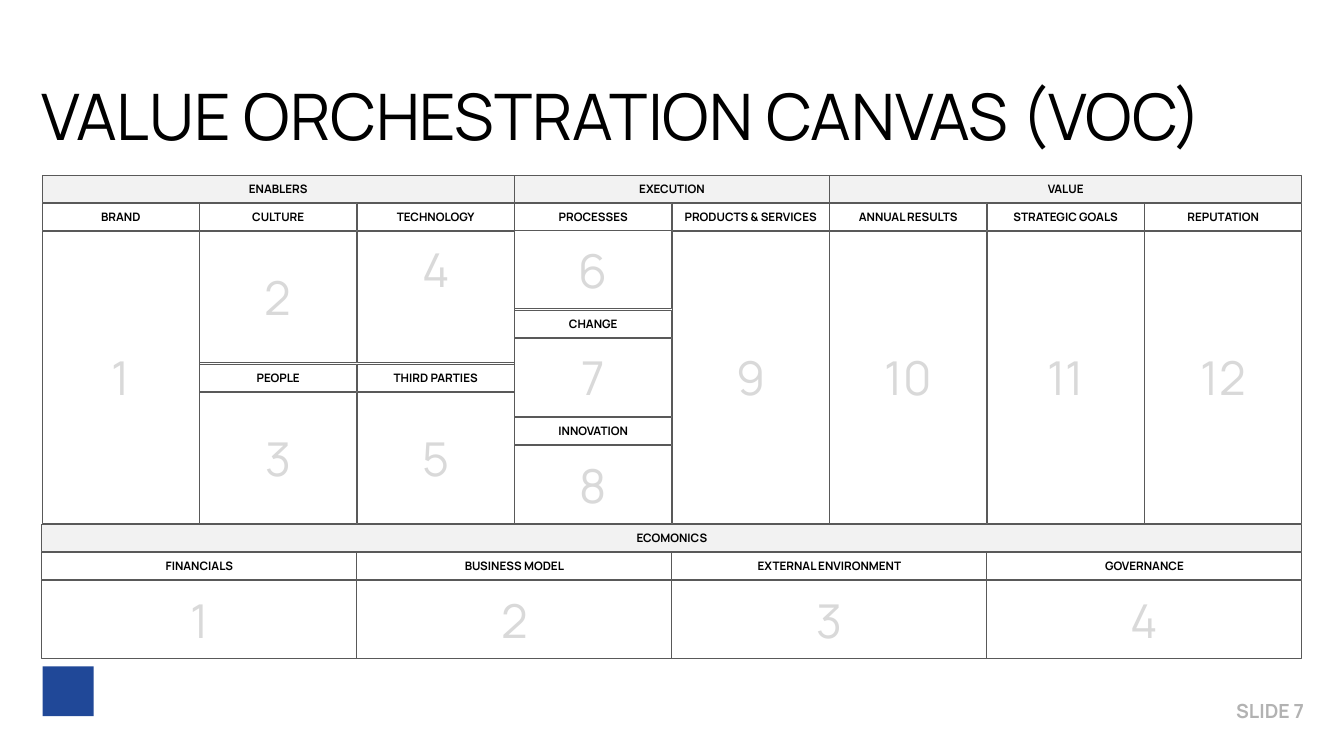
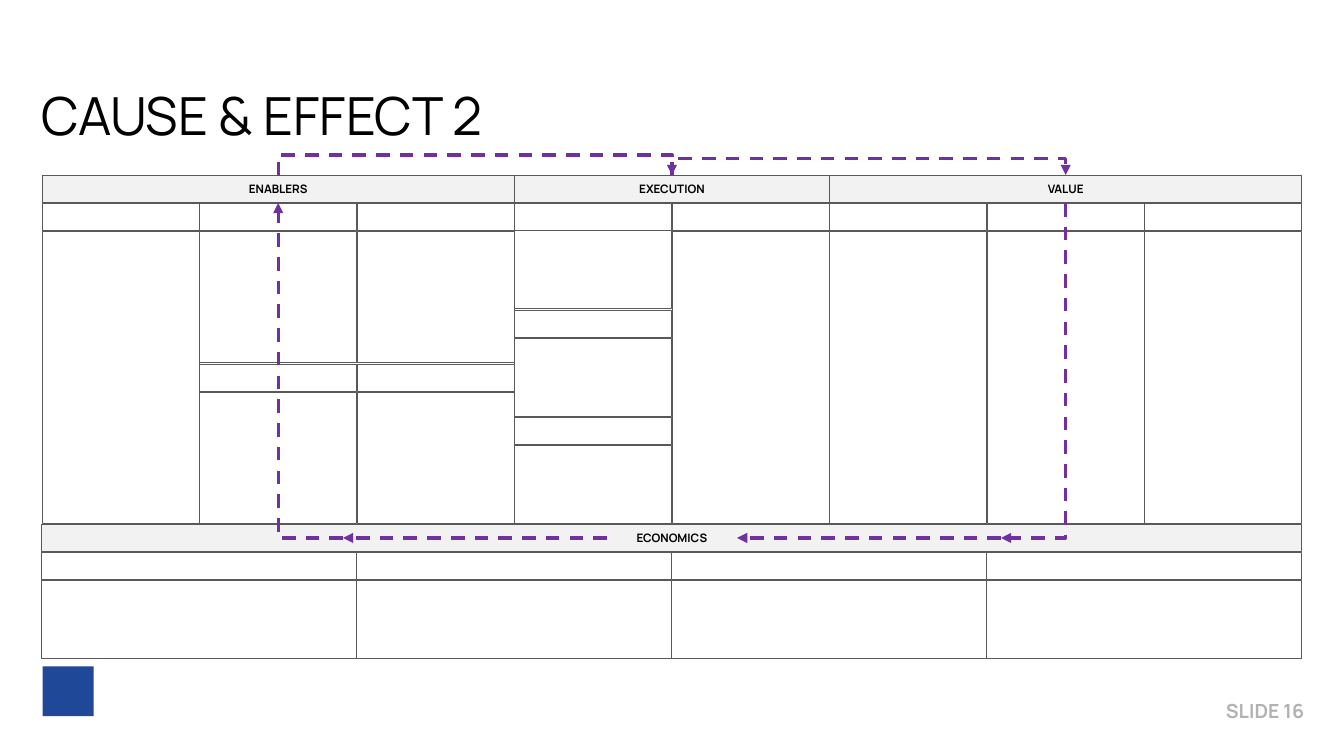
from pptx import Presentation, util as u
from pptx.dml.color import RGBColor
from pptx.enum import dml, shapes, text
from pptx.oxml import ns, xmlchemy

FONT = "Manrope"
BLACK, WHITE, BAND = "000000", "FFFFFF", "F2F2F2"
BORDER, NUMBER, PURPLE, BLUE = "595959", "D9D9D9", "7030A0", "204898"

LEFT, COLUMN, LABEL = 0.6, 2.25, 0.39
BAND_TOP, HEADER_TOP, BODY_TOP = 2.5, 2.9, 3.3
BODY, LABEL_SLOT = 4.18, 0.42
BASE_TOP, ROW_STEP, BASE_BODY = 7.49, 0.4, 1.12
CENTRE = text.PP_ALIGN.CENTER

LABEL_FORMAT = {"size": u.Pt(12), "bold": True}
NUMBER_FORMAT = {"size": u.Pt(48), "bold": False}

BANDS = [("ENABLERS", 0, 3), ("EXECUTION", 3, 2), ("VALUE", 5, 3)]
COLUMNS = [
    ["BRAND"],
    ["CULTURE", "PEOPLE"],
    ["TECHNOLOGY", "THIRD PARTIES"],
    ["PROCESSES", "CHANGE", "INNOVATION"],
    ["PRODUCTS & SERVICES"],
    ["ANNUAL RESULTS"],
    ["STRATEGIC GOALS"],
    ["REPUTATION"],
]
BASE = ["FINANCIALS", "BUSINESS MODEL", "EXTERNAL ENVIRONMENT", "GOVERNANCE"]
RAISED = {"TECHNOLOGY": 0.85}


def colour(value):
    return RGBColor.from_string(value)


def set_values(target, values):
    for name, value in values.items():
        setattr(target, name, value)


def write(box, words, tint, values, align, inset=0.04, bottom=None):
    frame = box.text_frame
    set_values(frame, {
        "word_wrap": True,
        "vertical_anchor": text.MSO_ANCHOR.MIDDLE,
        "margin_left": u.Inches(inset),
        "margin_right": u.Inches(inset),
        "margin_top": u.Inches(inset),
        "margin_bottom": u.Inches(inset if bottom is None else bottom),
    })
    para = frame.paragraphs[0]
    para.alignment = align
    span = para.add_run()
    span.text = words
    set_values(span.font, {"name": FONT, **values})
    span.font.color.rgb = colour(tint)
    return span


def add_text(page, place, words, tint, values, align, inset):
    box = page.shapes.add_textbox(*map(u.Inches, place))
    return write(box, words, tint, values, align, inset)


def add_block(page, place, fill, line=None):
    box = page.shapes.add_shape(shapes.MSO_SHAPE.RECTANGLE, *map(u.Inches, place))
    box.shadow.inherit = False
    box.fill.solid()
    box.fill.fore_color.rgb = colour(fill)
    if line:
        box.line.color.rgb = colour(line)
        box.line.width = u.Pt(1)
    else:
        box.line.fill.background()
    return box


def add_label(page, place, words, fill=WHITE):
    box = add_block(page, place, fill, BORDER)
    if words:
        write(box, words, BLACK, LABEL_FORMAT, CENTRE)


def add_number(page, place, words, bottom=None):
    box = add_block(page, place, WHITE, BORDER)
    if words:
        write(box, words, NUMBER, NUMBER_FORMAT, CENTRE, bottom=bottom)


def add_child(parent, tag, **values):
    child = xmlchemy.OxmlElement(tag)
    for name, value in values.items():
        child.set(name, value)
    parent.append(child)


def add_arrow(page, start, end, bend=None, turn=0, flip=False, adjust=None):
    kind = shapes.MSO_CONNECTOR.ELBOW if bend else shapes.MSO_CONNECTOR.STRAIGHT
    corners = [*start, *end]
    if bend:
        width, height = (abs(a - b) for a, b in zip(start, end))
        if turn % 180:
            width, height = height, width
        across, down = ((a + b) / 2 for a, b in zip(start, end))
        corners = [across - width / 2, down - height / 2,
                   across + width / 2, down + height / 2]
    arrow = page.shapes.add_connector(kind, *map(u.Inches, corners))
    arrow.line.color.rgb = colour(PURPLE)
    set_values(arrow.line, {"width": u.Pt(3.5), "dash_style": dml.MSO_LINE.DASH})
    add_child(arrow.line._get_or_add_ln(), "a:tailEnd", type="triangle")
    properties = arrow._element.spPr
    add_child(properties, "a:effectLst")
    if bend:
        frame = properties.find(ns.qn("a:xfrm"))
        frame.set("rot", str(turn * 60000))
        if flip:
            frame.set("flipH", "1")
            frame.set("flipV", "1")
        outline = properties.find(ns.qn("a:prstGeom"))
        outline.set("prst", bend)
        if adjust:
            add_child(outline.find(ns.qn("a:avLst")), "a:gd", name="adj1",
                      fmla=f"val {round(adjust * 100000)}")


def add_bracket(page, start, end, rise):
    drop = 0.01
    add_arrow(page, (start, BAND_TOP + drop), (end, BAND_TOP),
              "bentConnector3", 90, True, rise / drop)


def add_page(deck, title, size, number):
    page = deck.slides.add_slide(deck.slide_layouts[6])
    add_block(page, (0.61, 9.52, 0.73, 0.71), BLUE)
    footer = add_text(page, (16.93, 9.93, 1.8, 0.44), f"SLIDE {number}", BLACK,
                      {"size": u.Pt(20), "bold": True}, text.PP_ALIGN.RIGHT, 0.1)
    tint = footer.font._element.find(".//" + ns.qn("a:srgbClr"))
    add_child(tint, "a:alpha", val="30000")
    add_text(page, (LEFT, 0.85, 18, 1.57), title, BLACK,
             {"size": u.Pt(size), "bold": False}, text.PP_ALIGN.LEFT, 0)
    return page


def add_canvas(page, base_title, labelled):
    def shown(words):
        return str(words) if labelled else ""

    number = 0
    for index, names in enumerate(COLUMNS):
        left = LEFT + index * COLUMN
        step = (BODY + LABEL_SLOT) / len(names)
        for row, name in enumerate(names):
            number += 1
            top = BODY_TOP + row * step
            label_top = top - ROW_STEP
            add_number(page, (left, top, COLUMN, step - LABEL_SLOT),
                       shown(number), RAISED.get(name))
            add_label(page, (left, label_top, COLUMN, LABEL), shown(name))

    for name, first, count in BANDS:
        add_label(page, (LEFT + first * COLUMN, BAND_TOP, count * COLUMN, LABEL), name, BAND)

    add_label(page, (LEFT, BASE_TOP, len(COLUMNS) * COLUMN, LABEL), base_title, BAND)
    width = len(COLUMNS) * COLUMN / len(BASE)
    for index, name in enumerate(BASE):
        left = LEFT + index * width
        add_label(page, (left, BASE_TOP + ROW_STEP, width, LABEL), shown(name))
        add_number(page, (left, BASE_TOP + 2 * ROW_STEP, width, BASE_BODY), shown(index + 1))


def add_cycle(page):
    enablers, execution, value = (
        LEFT + (first + count / 2) * COLUMN for _, first, count in BANDS)
    base = BASE_TOP + LABEL / 2
    add_bracket(page, enablers, execution, 0.3)
    add_bracket(page, execution, value, 0.25)
    add_arrow(page, (4.9, base), (enablers, HEADER_TOP), "bentConnector2", 180)
    add_arrow(page, (value, HEADER_TOP), (14.3, base), "bentConnector2", 90)
    for start, end in [(8.67, 4.9), (14.3, 10.53)]:
        add_arrow(page, (start, base), (end, base))


def main():
    deck = Presentation()
    set_values(deck, {"slide_width": u.Inches(19.2), "slide_height": u.Inches(10.8)})
    page = add_page(deck, "VALUE ORCHESTRATION CANVAS (VOC)", 66, 7)
    add_canvas(page, "ECOMONICS", True)
    page = add_page(deck, "CAUSE & EFFECT 2", 54, 16)
    add_canvas(page, "ECONOMICS", False)
    add_cycle(page)
    deck.save("out.pptx")


if __name__ == "__main__":
    main()
